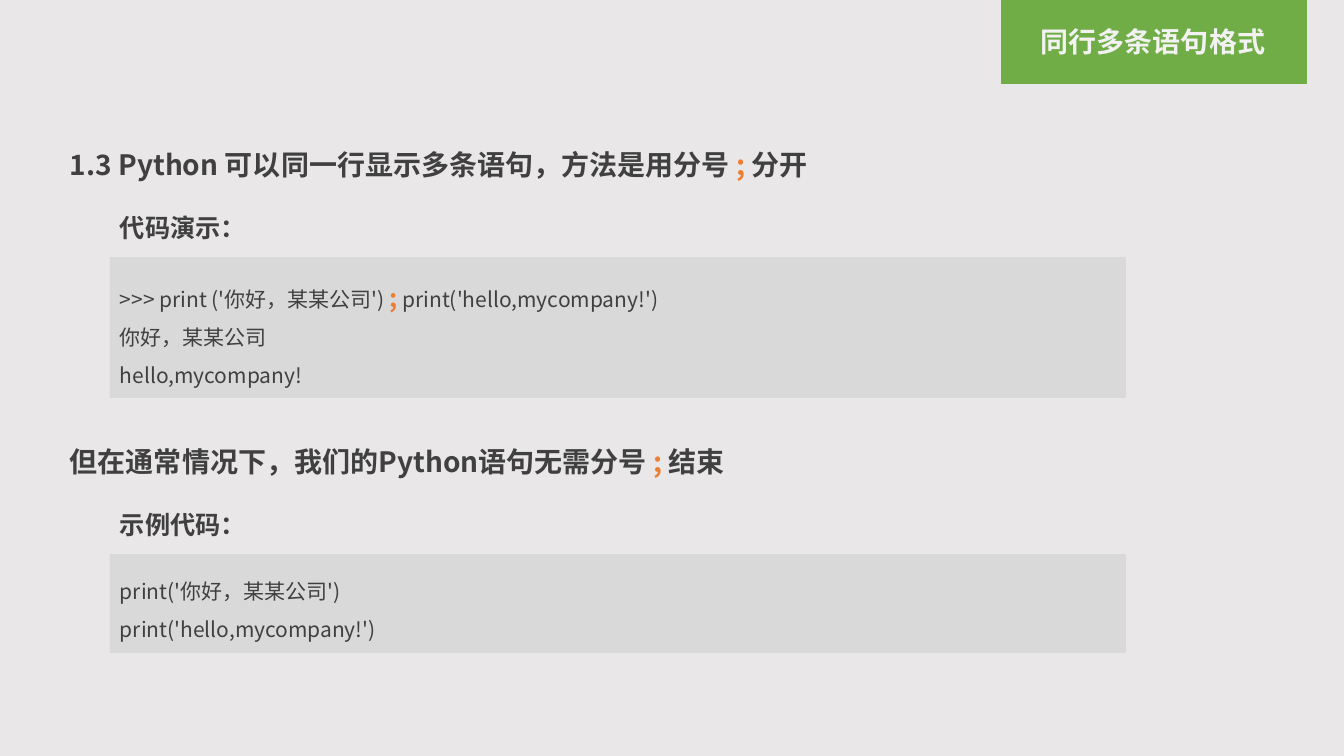
from lxml import etree
from pptx import Presentation
from pptx.dml.color import RGBColor
from pptx.enum.shapes import MSO_SHAPE
from pptx.enum.text import MSO_ANCHOR, MSO_AUTO_SIZE, PP_ALIGN
from pptx.oxml.ns import qn
from pptx.util import Pt

RECTANGLE = MSO_SHAPE.RECTANGLE
TOP, MIDDLE = MSO_ANCHOR.TOP, MSO_ANCHOR.MIDDLE
LEFT, CENTER = PP_ALIGN.LEFT, PP_ALIGN.CENTER
FIXED, GROW = MSO_AUTO_SIZE.NONE, MSO_AUTO_SIZE.SHAPE_TO_FIT_TEXT

EMU_PER_PIXEL = 914400 / 100.8
TITLE_ONLY = 5
FONT = "Noto Sans CJK SC"
COLORS = {
    "background": "E9E7E7",
    "tag": "70AD47",
    "tag_text": "F2F2F2",
    "panel": "D9D9D9",
    "text": "404040",
    "accent": "ED7D31",
}
MARK = {"color": "accent", "bold": True}

SECTIONS = [
    {
        "top": 126,
        "heading": [("1.3 Python 可以同一行显示多条语句，方法是用分号\u00a0", {}),
                    (";", MARK), ("\u00a0分开", {})],
        "label": "代码演示：",
        "code": [
            [(">>> print ('你好，某某公司') ", {}), (";", {**MARK, "size": 18}),
             (" print('hello,mycompany!')", {})],
            [("你好，某某公司", {})],
            [("hello,mycompany!", {})],
        ],
        "code_height": 141,
    },
    {
        "top": 423,
        "heading": [("但在通常情况下，我们的Python语句无需分号\u00a0", {}),
                    (";\u00a0", MARK), ("结束", {})],
        "label": "示例代码：",
        "code": [
            [("print('你好，某某公司')", {})],
            [("print('hello,mycompany!')", {})],
        ],
        "code_height": 99,
    },
]


def pixels(*values):
    """Turn pixel lengths into EMU."""
    return [round(value * EMU_PER_PIXEL) for value in values]


def add_span(para, text, size, color, bold):
    """Add one formatted run, with the font set for both scripts."""
    span = para.add_run()
    span.text = text
    span.font.name = FONT
    span.font.size = Pt(size)
    span.font.bold = bold
    span.font.color.rgb = RGBColor.from_string(COLORS[color])
    latin = span._r.get_or_add_rPr().find(qn("a:latin"))
    latin.addnext(etree.Element(qn("a:ea"), typeface=FONT))


def write_text(box, lines, size=20, color="text", bold=False, align=LEFT,
               anchor=TOP, spacing=1.0, wrap=True, fit=FIXED):
    """Fill a shape with lines, each a list of (text, own format) pairs."""
    frame = box.text_frame
    frame.word_wrap = wrap
    frame.auto_size = fit
    frame.vertical_anchor = anchor
    for index, line in enumerate(lines):
        para = frame.add_paragraph() if index else frame.paragraphs[0]
        para.alignment = align
        para.line_spacing = spacing
        para.space_before = Pt(0)
        for text, own in line:
            add_span(para, text, **{"size": size, "color": color, "bold": bold, **own})


def add_block(slide, left, top, width, height, fill):
    """Add a flat rectangle without outline or shadow."""
    block = slide.shapes.add_shape(RECTANGLE, *pixels(left, top, width, height))
    block.shadow.inherit = False
    block.fill.solid()
    block.fill.fore_color.rgb = RGBColor.from_string(COLORS[fill])
    block.line.fill.background()
    return block


def add_text(slide, left, top, width, height, line, **style):
    """Add a text box that grows with its single line."""
    box = slide.shapes.add_textbox(*pixels(left, top, width, height))
    write_text(box, [line], fit=GROW, **style)


def add_title(slide, text):
    """Put the title on its green tag."""
    tag = add_block(slide, 1001, 0, 306, 84, "tag")
    title = slide.shapes.title
    title.element.addprevious(tag.element)
    title.left, title.top, title.width, title.height = pixels(1002, 23, 302, 42)
    write_text(title, [[(text, {})]], color="tag_text", bold=True,
               align=CENTER, spacing=0.9)


def add_section(slide, section):
    """Add a heading, its label and the code panel below."""
    top = section["top"]
    add_text(slide, 60, top, 1220, 61, section["heading"], bold=True, spacing=1.5)
    panel = add_block(slide, 110, top + 131, 1016, section["code_height"], "panel")
    write_text(panel, section["code"], size=15, anchor=MIDDLE, spacing=1.5)
    add_text(slide, 110, top + 81, 147, 40, [(section["label"], {})],
             size=18, bold=True, wrap=False)


def main():
    """Build the slide and save it."""
    deck = Presentation()
    deck.slide_width, deck.slide_height = pixels(1344, 756)
    page = deck.slides.add_slide(deck.slide_layouts[TITLE_ONLY])
    page.background.fill.solid()
    page.background.fill.fore_color.rgb = RGBColor.from_string(COLORS["background"])
    add_title(page, "同行多条语句格式")
    for section in SECTIONS:
        add_section(page, section)
    deck.save("out.pptx")


main()
